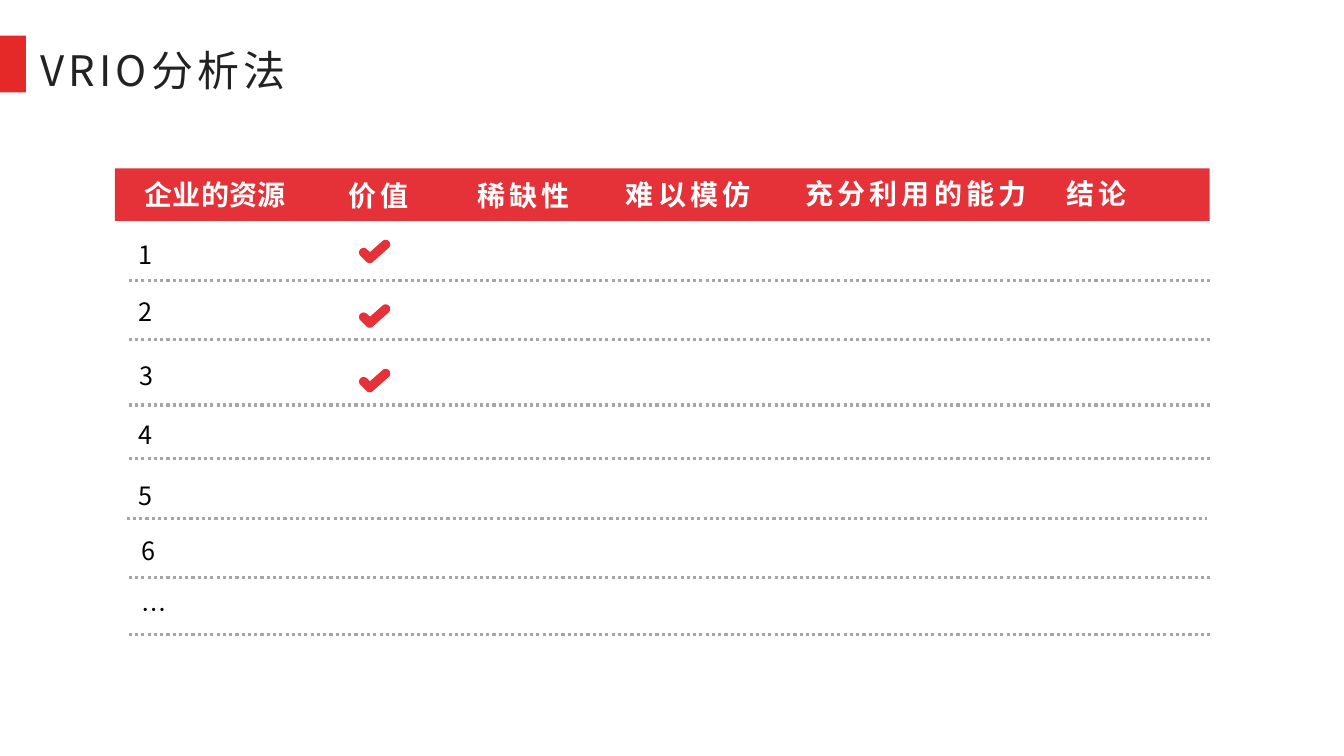
from math import cos, radians, sin
from pptx import Presentation
from pptx.dml.color import RGBColor
from pptx.enum.dml import MSO_LINE
from pptx.enum.shapes import MSO_CONNECTOR, MSO_SHAPE
from pptx.enum.text import MSO_ANCHOR, MSO_AUTO_SIZE, PP_ALIGN
from pptx.oxml.ns import qn
from pptx.util import Pt

COLORS = {"accent": "E52828", "red": "E53238", "title": "222222",
          "rule": "A6A6A6", "white": "FFFFFF", "black": "000000"}
FONT = "Noto Sans CJK SC"
INSET = 7.2

HEADERS = [("企业的资源", 14.5, 3, 0), ("价值", 160, 4, 3), ("稀缺性", 252, 4, 3),
           ("难以模仿", 358, 3, 3), ("充分利用的能力", 486, 2.5, 3), ("结论", 672.5, 2.5, 3)]
ROWS = [("1", 10, 47, 80, 10), ("2", 10, 88, 122, 10), ("3", 10.5, 133.5, 169, 10),
        ("4", 10, 176, 207.5, 10), ("5", 10, 219, 250, 8.5), ("6", 12, 258.5, 292.5, 10),
        ("…", 12, 301, 333, 10)]


def color(name):
    return RGBColor.from_string(COLORS[name])


def add_span(para, text, size, ink, bold=False, spacing=0):
    span = para.add_run()
    span.text = text
    span.font.name = FONT
    span.font.size = Pt(size)
    span.font.bold = bold
    span.font.color.rgb = color(ink)
    properties = span.font._element
    if spacing:
        properties.set("spc", str(spacing * 100))
    east_asian = properties.makeelement(qn("a:ea"), {"typeface": FONT})
    properties.find(qn("a:latin")).addnext(east_asian)


def paint(shape, name):
    shape.shadow.inherit = False
    shape.fill.solid()
    shape.fill.fore_color.rgb = color(name)
    shape.line.fill.background()


def add_bar(page, left, top, width, height, name):
    bar = page.shapes.add_shape(MSO_SHAPE.RECTANGLE, Pt(left), Pt(top), Pt(width), Pt(height))
    paint(bar, name)


def add_label(page, left, top, height, text, size, ink, bold=False, spacing=0):
    advance = size if bold or text == "…" else size * 0.56
    width = len(text) * (advance + spacing) + 2 * INSET
    label = page.shapes.add_textbox(Pt(left), Pt(top), Pt(width), Pt(height))
    label.text_frame.word_wrap = False
    add_span(label.text_frame.paragraphs[0], text, size, ink, bold, spacing)


def add_rule(page, left, right, y):
    rule = page.shapes.add_connector(MSO_CONNECTOR.STRAIGHT, Pt(left), Pt(y), Pt(right), Pt(y))
    rule.line.color.rgb = color("rule")
    rule.line.width = Pt(2.25)
    rule.line.dash_style = MSO_LINE.ROUND_DOT
    properties = rule._element.spPr
    properties.append(properties.makeelement(qn("a:effectLst"), {}))


def add_check(page, left, top):
    radius = 3.3
    arcs = [(19, 3.3, -131.5, 48.5), (7.6, 13.4, 48.5, 135), (3.3, 9.1, 135, 315)]
    points = []
    for x, y, start, end in arcs:
        for step in range(13):
            angle = radians(start + (end - start) * step / 12)
            points.append((x + radius * cos(angle), y + radius * sin(angle)))
    points.append((7.8, 8.8))
    outline = [(Pt(left + x), Pt(top + y)) for x, y in points]
    builder = page.shapes.build_freeform(*outline[0], scale=1.0)
    builder.add_line_segments(outline[1:], close=True)
    paint(builder.convert_to_shape(), "red")


def build_heading(page, left, top, width, height):
    add_bar(page, left, top + 4.5, 18.5, 40.5, "accent")
    title = page.shapes.title
    title.left, title.top = Pt(left + 25), Pt(top)
    title.width, title.height = Pt(width - 25), Pt(height)
    frame = title.text_frame
    frame.word_wrap = True
    frame.auto_size = MSO_AUTO_SIZE.NONE
    frame.vertical_anchor = MSO_ANCHOR.TOP
    frame.margin_left = frame.margin_right = Pt(3.6)
    frame.margin_top = frame.margin_bottom = Pt(3.6)
    para = frame.paragraphs[0]
    para.alignment = PP_ALIGN.LEFT
    para.line_spacing = 1.2
    add_span(para, "VRIO分析法", 30, "title", spacing=3)


def build_resource_grid(page, left, top, width):
    add_bar(page, left, top, width, 37.5, "red")
    for text, x, y, spacing in HEADERS:
        add_label(page, left + x, top + y, 31.5, text, 20, "white", True, spacing)
    for text, x, y, rule_y, rule_x in ROWS:
        add_label(page, left + x, top + y, 29, text, 18, "black")
        add_rule(page, left + rule_x, left + rule_x + width - 10, top + rule_y)
    for row in range(3):
        add_check(page, left + 174.5, top + 51 + 46.1 * row)


deck = Presentation()
deck.slide_width, deck.slide_height = Pt(960), Pt(540)
page = deck.slides.add_slide(deck.slide_layouts[5])
build_heading(page, 0, 21, 479, 47.5)
build_resource_grid(page, 82, 120.3, 782)
deck.save("out.pptx")
